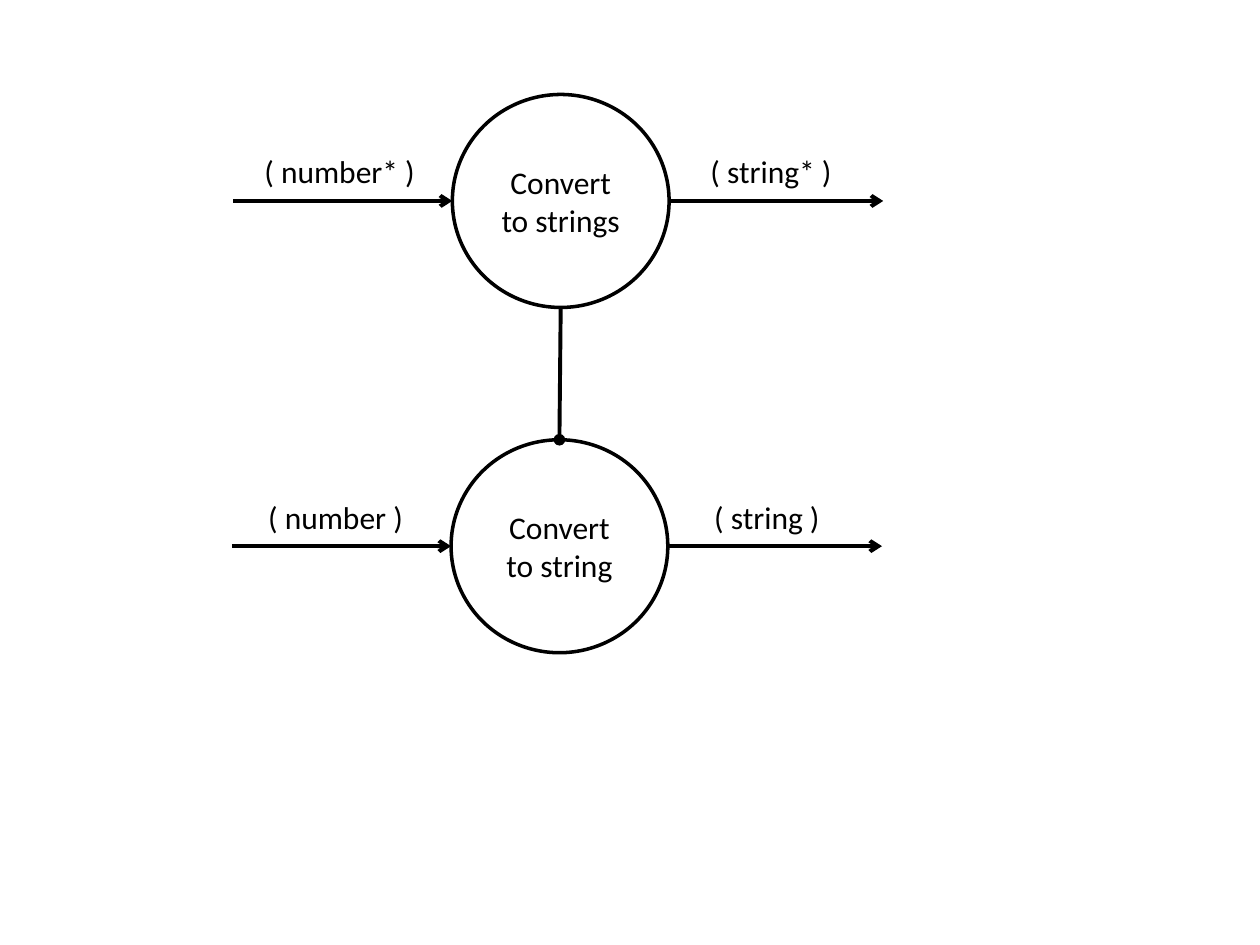
from dataclasses import dataclass

from lxml import etree
from pptx import Presentation
from pptx.dml.color import RGBColor
from pptx.enum import shapes, text
from pptx.oxml.ns import qn
from pptx.util import Inches, Pt


@dataclass(frozen=True)
class Theme:
    ink: RGBColor = RGBColor(0, 0, 0)
    paper: RGBColor = RGBColor(255, 255, 255)
    font: str = "Calibri"
    size: float = 18
    outline: float = 2
    flow: float = 2.25


@dataclass(frozen=True)
class Label:
    text: str
    left: float
    width: float


@dataclass(frozen=True)
class Process:
    name: str
    left: float
    top: float
    source: Label
    result: Label

    @property
    def middle(self) -> float:
        return self.left + CIRCLE_W / 2

    @property
    def axis(self) -> float:
        return self.top + CIRCLE_H / 2


THEME = Theme()
CIRCLE_W, CIRCLE_H = 1.72, 1.69
FLOW_IN, FLOW_OUT = 1.74, 1.7
LABEL_RISE, LABEL_H = 0.435, 0.4

PROCESSES = [
    Process("Convert to strings", 3.59, 0.75,
            Label("( number* )", 2, 1.41), Label("( string* )", 5.54, 1.18)),
    Process("Convert to string", 3.58, 3.49,
            Label("( number )", 2.03, 1.28), Label("( string )", 5.57, 1.05)),
]


def write(sp, words: str, **frame_format) -> None:
    """Put one styled run in a shape and apply the text frame settings."""
    tf = sp.text_frame
    for name, value in frame_format.items():
        setattr(tf, name, value)
    r = tf.paragraphs[0].add_run()
    r.text = words
    for name, value in {"name": THEME.font, "size": Pt(THEME.size)}.items():
        setattr(r.font, name, value)
    r.font.color.rgb = THEME.ink


def add_circle(s, process: Process) -> None:
    sp = s.shapes.add_shape(shapes.MSO_SHAPE.OVAL, Inches(process.left), Inches(process.top),
                            Inches(CIRCLE_W), Inches(CIRCLE_H))
    sp.shadow.inherit = False
    sp.fill.solid()
    sp.fill.fore_color.rgb = THEME.paper
    sp.line.color.rgb = THEME.ink
    sp.line.width = Pt(THEME.outline)
    write(sp, process.name, word_wrap=True, vertical_anchor=text.MSO_ANCHOR.MIDDLE)
    sp.text_frame.paragraphs[0].alignment = text.PP_ALIGN.CENTER


def add_label(s, label: Label, axis: float) -> None:
    sp = s.shapes.add_textbox(Inches(label.left), Inches(axis - LABEL_RISE),
                              Inches(label.width), Inches(LABEL_H))
    write(sp, label.text, word_wrap=False, auto_size=text.MSO_AUTO_SIZE.SHAPE_TO_FIT_TEXT)


def add_line(s, x1: float, y1: float, x2: float, y2: float, end: str = "arrow") -> None:
    line = s.shapes.add_connector(shapes.MSO_CONNECTOR.STRAIGHT,
                                  Inches(x1), Inches(y1), Inches(x2), Inches(y2))
    line.line.color.rgb = THEME.ink
    line.line.width = Pt(THEME.flow)
    etree.SubElement(line.line._get_or_add_ln(), qn("a:tailEnd"), type=end)
    etree.SubElement(line._element.spPr, qn("a:effectLst"))


def add_process(s, process: Process) -> None:
    """Draw a circle with its labelled input and output flows."""
    left, right, axis = process.left, process.left + CIRCLE_W, process.axis
    add_circle(s, process)
    add_line(s, right, axis, right + FLOW_OUT, axis)
    add_label(s, process.source, axis)
    add_label(s, process.result, axis)
    add_line(s, left - FLOW_IN, axis, left, axis)


def main() -> None:
    prs = Presentation()
    prs.slide_width, prs.slide_height = Inches(10), Inches(7.5)
    s = prs.slides.add_slide(prs.slide_layouts[6])
    for process in PROCESSES:
        add_process(s, process)
    whole, part = PROCESSES
    add_line(s, whole.middle, whole.top + CIRCLE_H, part.middle, part.top, "oval")
    prs.save("out.pptx")


if __name__ == "__main__":
    main()
